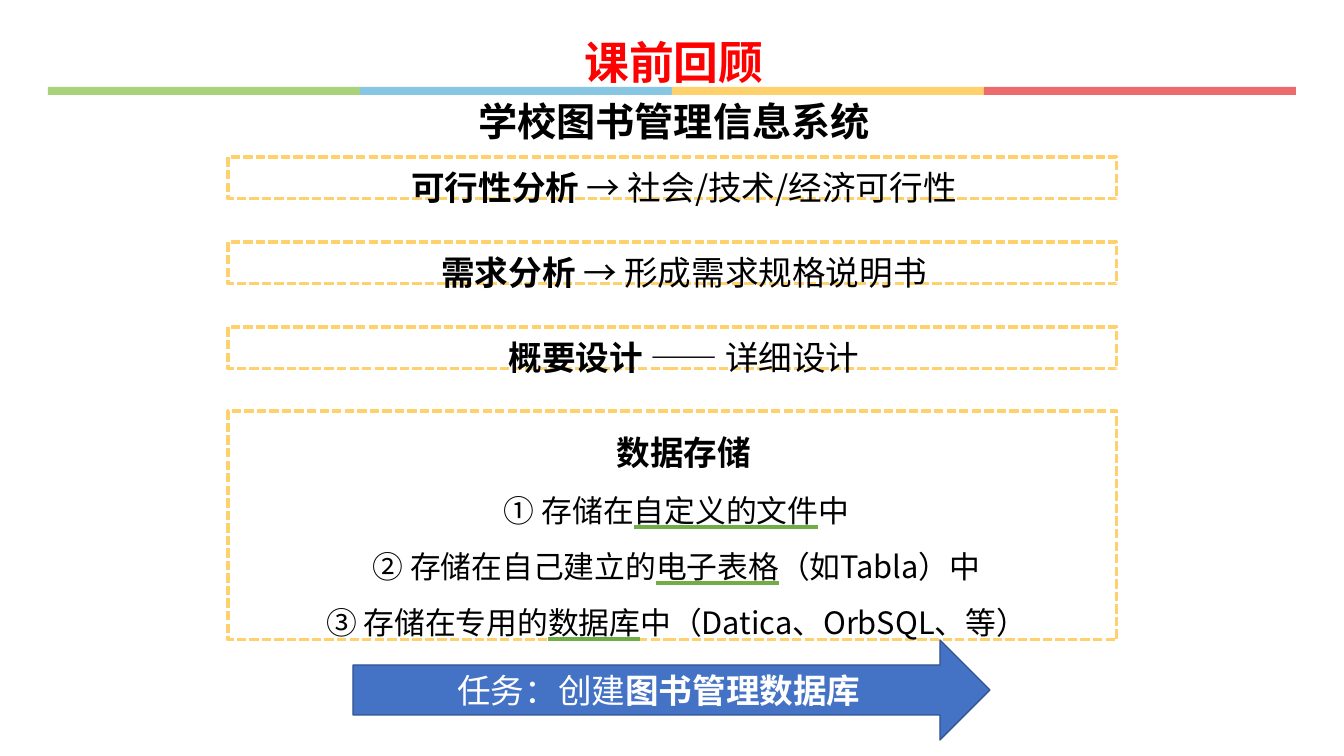
"""Build the lesson review slide on the school library information system."""
from lxml import etree
from pptx import Presentation
from pptx.dml.color import RGBColor
from pptx.enum.dml import MSO_LINE
from pptx.enum.shapes import MSO_SHAPE
from pptx.enum.text import MSO_ANCHOR, MSO_UNDERLINE, PP_ALIGN
from pptx.oxml.ns import qn
from pptx.util import Pt

RECT, ARROW = MSO_SHAPE.RECTANGLE, MSO_SHAPE.RIGHT_ARROW
CENTER, TOP, MIDDLE = PP_ALIGN.CENTER, MSO_ANCHOR.TOP, MSO_ANCHOR.MIDDLE
HEAVY, DASH = MSO_UNDERLINE.HEAVY_LINE, MSO_LINE.SQUARE_DOT

GREEN = RGBColor(0xA8, 0xD3, 0x7A)
SKY = RGBColor(0x87, 0xC7, 0xE3)
YELLOW = RGBColor(0xFE, 0xD1, 0x6C)
CORAL = RGBColor(0xED, 0x6B, 0x6D)
BLUE = RGBColor(0x44, 0x72, 0xC4)
NAVY = RGBColor(0x32, 0x54, 0x91)
UNDERLINE_GREEN = RGBColor(0x70, 0xAD, 0x47)
RED = RGBColor(0xFF, 0x00, 0x00)
BLACK = RGBColor(0x00, 0x00, 0x00)
WHITE = RGBColor(0xFF, 0xFF, 0xFF)

FONT = "Noto Sans CJK SC"
PX = 914400 / 100.8


def add_box(shape, left, top, width, height, fill=None, line=None, weight=1):
    sp = slide.shapes.add_shape(shape, *(round(v * PX) for v in (left, top, width, height)))
    sp.shadow.inherit = False
    if fill is None:
        sp.fill.background()
    else:
        sp.fill.solid()
        sp.fill.fore_color.rgb = fill
    if line is None:
        sp.line.fill.background()
    else:
        sp.line.color.rgb = line
        sp.line.width = Pt(weight)
    tf = sp.text_frame
    tf.word_wrap = True
    tf.vertical_anchor = TOP
    tf.margin_left = tf.margin_top = tf.margin_right = tf.margin_bottom = 0
    return sp


def write_line(p, runs, size, color=BLACK, spacing=None, indent=0):
    p.alignment = CENTER
    if spacing:
        p.line_spacing = Pt(spacing)
    if indent:
        p._p.get_or_add_pPr().set("marL", str(round(indent * PX)))
    for text, style in runs:
        r = p.add_run()
        r.text = text
        r.font.size = Pt(size)
        r.font.bold = style == "bold"
        r.font.color.rgb = color
        rPr = r._r.get_or_add_rPr()
        if style == "underline":
            r.font.underline = HEAVY
            u_fill = etree.SubElement(rPr, qn("a:uFill"))
            solid = etree.SubElement(u_fill, qn("a:solidFill"))
            etree.SubElement(solid, qn("a:srgbClr")).set("val", str(UNDERLINE_GREEN))
        for tag in ("a:latin", "a:ea"):
            etree.SubElement(rPr, qn(tag)).set("typeface", FONT)


prs = Presentation()
prs.slide_width, prs.slide_height = round(1344 * PX), round(756 * PX)
slide = prs.slides.add_slide(prs.slide_layouts[6])

for i, color in enumerate((GREEN, SKY, YELLOW, CORAL)):
    add_box(RECT, 48 + 312 * i, 87, 312, 8, fill=color)

steps = [
    ("可行性分析", " → 社会/技术/经济可行性"),
    ("需求分析", " → 形成需求规格说明书"),
    ("概要设计", " —— 详细设计"),
]
for i, (step, detail) in enumerate(steps):
    sp = add_box(RECT, 228, 157 + 85 * i, 889, 42, line=YELLOW, weight=2.25)
    sp.line.dash_style = DASH
    write_line(sp.text_frame.paragraphs[0], [(step, "bold"), (detail, "")], 24,
               spacing=36, indent=23)

storage = add_box(RECT, 228, 411, 889, 229, line=YELLOW, weight=2.25)
storage.line.dash_style = DASH
tf = storage.text_frame
write_line(tf.paragraphs[0], [("数据存储", "bold")], 24, spacing=44, indent=23)
options = [
    ("① 存储在", "自定义的文件", "中"),
    ("② 存储在自己建立的", "电子表格", "（如Tabla）中"),
    ("③ 存储在专用的", "数据库", "中（Datica、OrbSQL、等）"),
]
for before, key, after in options:
    write_line(tf.add_paragraph(), [(before, ""), (key, "underline"), (after, "")], 22,
               spacing=40, indent=8)

title = slide.shapes.add_textbox(*(round(v * PX) for v in (190, 30, 968, 111)))
tf = title.text_frame
tf.word_wrap = True
tf.margin_left = tf.margin_top = tf.margin_right = tf.margin_bottom = 0
write_line(tf.paragraphs[0], [("课前回顾", "bold")], 32, RED, spacing=42)
write_line(tf.add_paragraph(), [("学校图书管理信息系统", "bold")], 28, spacing=40)

task = add_box(ARROW, 353, 640, 637, 100, fill=BLUE, line=NAVY)
task.text_frame.vertical_anchor = MIDDLE
write_line(task.text_frame.paragraphs[0], [("任务：创建", ""), ("图书管理数据库", "bold")], 24, WHITE)

prs.save("out.pptx")
